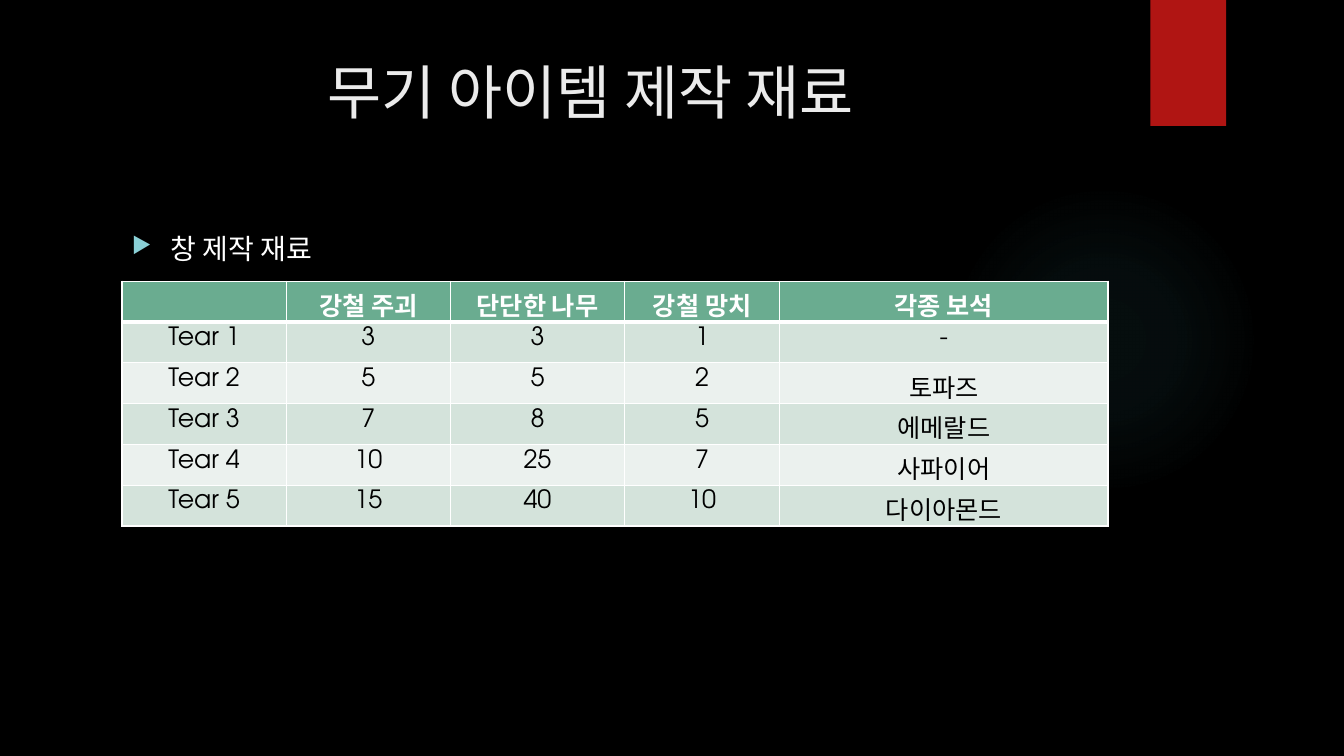
import lxml.etree
import pptx
import pptx.dml.color
import pptx.enum.shapes
import pptx.enum.text
import pptx.oxml
import pptx.oxml.ns
import pptx.util

RGBColor = pptx.dml.color.RGBColor
BLACK = RGBColor(0x00, 0x00, 0x00)
WHITE = RGBColor(0xFF, 0xFF, 0xFF)
TITLE_GREY = RGBColor(0xEB, 0xEB, 0xEB)
RIBBON_RED = RGBColor(0xB0, 0x15, 0x13)
GLOW_TEAL = RGBColor(0x50, 0xB9, 0xC1)
BULLET_AQUA = RGBColor(0x8A, 0xD0, 0xD6)
HEADER_GREEN = RGBColor(0x6A, 0xAC, 0x90)
BAND_DARK = RGBColor(0xD4, 0xE3, 0xDB)
BAND_LIGHT = RGBColor(0xEB, 0xF1, 0xEE)

FONT = "TeX Gyre Adventor"
SLIDE_W = pptx.util.Inches(13.33)
SLIDE_H = pptx.util.Inches(7.5)
CENTER = pptx.enum.text.PP_ALIGN.CENTER
LEFT = pptx.enum.text.PP_ALIGN.LEFT

COLUMN_WEIGHTS = [1.63, 1.63, 1.73, 1.54, 3.26]
MATERIALS = [
    ["", "강철 주괴", "단단한 나무", "강철 망치", "각종 보석"],
    ["Tear 1", "3", "3", "1", "-"],
    ["Tear 2", "5", "5", "2", "토파즈"],
    ["Tear 3", "7", "8", "5", "에메랄드"],
    ["Tear 4", "10", "25", "7", "사파이어"],
    ["Tear 5", "15", "40", "10", "다이아몬드"],
]


def area(left, top, width, height):
    """Turn percentages of the slide into lengths."""
    return (int(SLIDE_W * left / 100), int(SLIDE_H * top / 100),
            int(SLIDE_W * width / 100), int(SLIDE_H * height / 100))


def element(parent, tag, **attributes):
    return lxml.etree.SubElement(parent, pptx.oxml.ns.qn(tag), **attributes)


def add_decoration(slide, preset, box, color):
    decoration = slide.shapes.add_shape(preset, *box)
    decoration.shadow.inherit = False
    decoration.fill.solid()
    decoration.fill.fore_color.rgb = color
    decoration.line.fill.background()
    return decoration


def add_glow(slide, box):
    glow = add_decoration(slide, pptx.enum.shapes.MSO_SHAPE.OVAL, box, GLOW_TEAL)
    properties = glow.element.spPr
    solid = properties.find(pptx.oxml.ns.qn("a:solidFill"))
    gradient = lxml.etree.Element(pptx.oxml.ns.qn("a:gradFill"))
    stops = element(gradient, "a:gsLst")
    for position, opacity in [(0, 7), (36, 6), (69, 0)]:
        stop = element(stops, "a:gs", pos=str(position * 1000))
        color = element(stop, "a:srgbClr", val=str(GLOW_TEAL))
        element(color, "a:alpha", val=str(opacity * 1000))
    radial = element(gradient, "a:path", path="circle")
    element(radial, "a:fillToRect", l="50000", t="50000", r="50000", b="50000")
    properties.replace(solid, gradient)


def add_run(paragraph, wording, size, color, bold=False):
    run = paragraph.add_run()
    run.text = wording
    run.font.name = FONT
    run.font.size = pptx.util.Pt(size)
    run.font.color.rgb = color
    run.font.bold = bold


def add_line_of_text(slide, box, wording, size, color, align, bullet=None):
    frame = slide.shapes.add_textbox(*box).text_frame
    frame.word_wrap = True
    paragraph = frame.paragraphs[0]
    paragraph.alignment = align
    if bullet:
        add_bullet(paragraph, bullet)
    add_run(paragraph, wording, size, color)


def add_bullet(paragraph, symbol):
    indent = pptx.util.Inches(0.38)
    properties = paragraph._p.get_or_add_pPr()
    properties.set("marL", str(indent))
    properties.set("indent", str(-indent))
    color = element(properties, "a:buClr")
    element(color, "a:srgbClr", val=str(BULLET_AQUA))
    element(properties, "a:buSzPct", val="80000")
    element(properties, "a:buChar", char=symbol)


def add_borders(cell, top, bottom):
    properties = cell._tc.get_or_add_tcPr()
    for side, width in [("L", 1), ("R", 1), ("T", top), ("B", bottom)]:
        line = element(properties, "a:ln" + side, w=str(pptx.util.Pt(width)))
        fill = element(line, "a:solidFill")
        element(fill, "a:srgbClr", val=str(WHITE))


def fill_cell(cell, wording, row):
    header = row == 0
    add_borders(cell, 3 if row == 1 else 1, 3 if header else 1)
    band = BAND_DARK if row % 2 else BAND_LIGHT
    cell.fill.solid()
    cell.fill.fore_color.rgb = HEADER_GREEN if header else band
    if wording:
        paragraph = cell.text_frame.paragraphs[0]
        paragraph.alignment = CENTER
        add_run(paragraph, wording, 18, WHITE if header else BLACK, header)


def add_materials_table(slide, box):
    table = slide.shapes.add_table(len(MATERIALS), len(COLUMN_WEIGHTS), *box).table
    for column, weight in zip(table.columns, COLUMN_WEIGHTS):
        column.width = int(box[2] * weight / sum(COLUMN_WEIGHTS))
    for row, wordings in enumerate(MATERIALS):
        for column, wording in enumerate(wordings):
            fill_cell(table.cell(row, column), wording, row)


def main():
    deck = pptx.Presentation()
    deck.slide_width, deck.slide_height = SLIDE_W, SLIDE_H
    slide = deck.slides.add_slide(deck.slide_layouts[6])
    slide.background.fill.solid()
    slide.background.fill.fore_color.rgb = BLACK

    add_glow(slide, area(70.58, 24.4, 23.1, 41.07))
    add_decoration(slide, pptx.enum.shapes.MSO_SHAPE.RECTANGLE,
                   area(85.6, 0, 5.63, 16.67), RIBBON_RED)
    add_line_of_text(slide, area(5.33, 6.67, 77.2, 20.4),
                     "무기 아이템 제작 재료", 42, TITLE_GREY, CENTER)
    add_line_of_text(slide, area(9.08, 30, 73.37, 7.2),
                     "창 제작 재료", 20, WHITE, LEFT, "▶")
    add_materials_table(slide, area(9.08, 37.2, 73.37, 32.4))
    deck.save("out.pptx")


if __name__ == "__main__":
    main()
